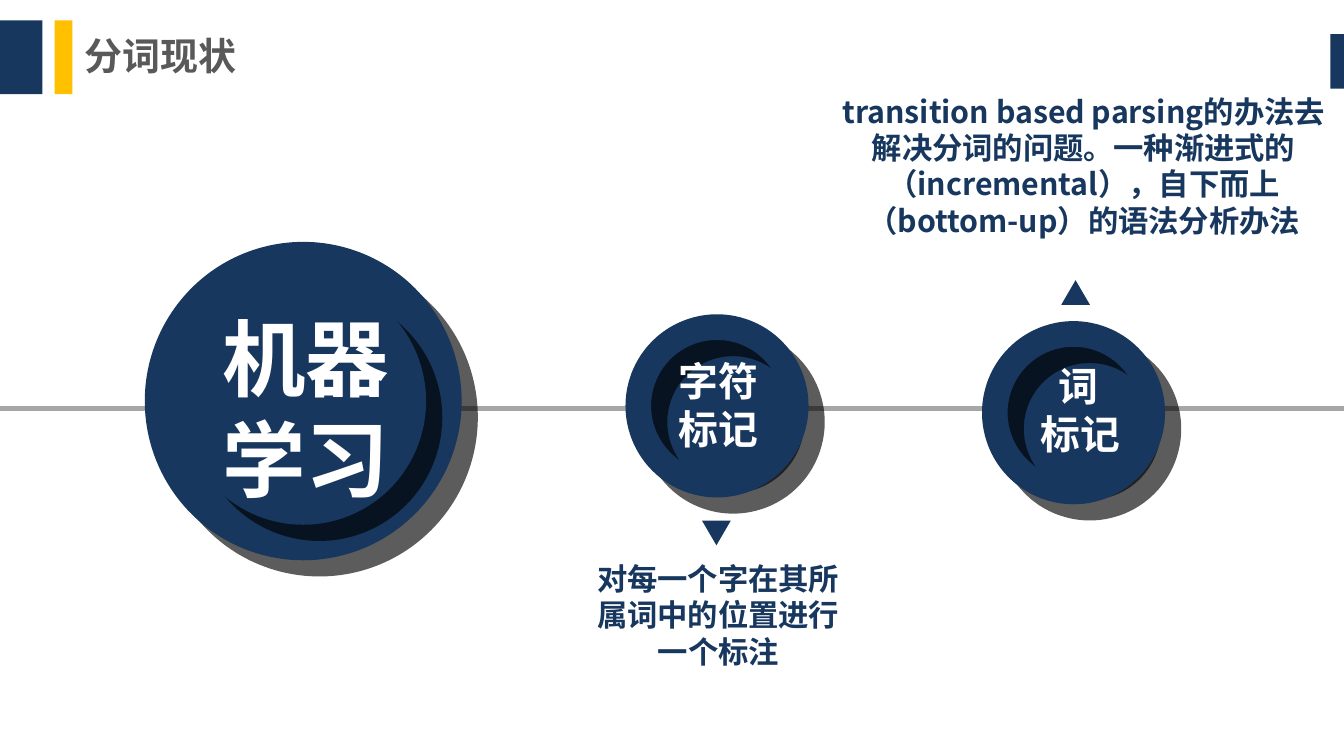
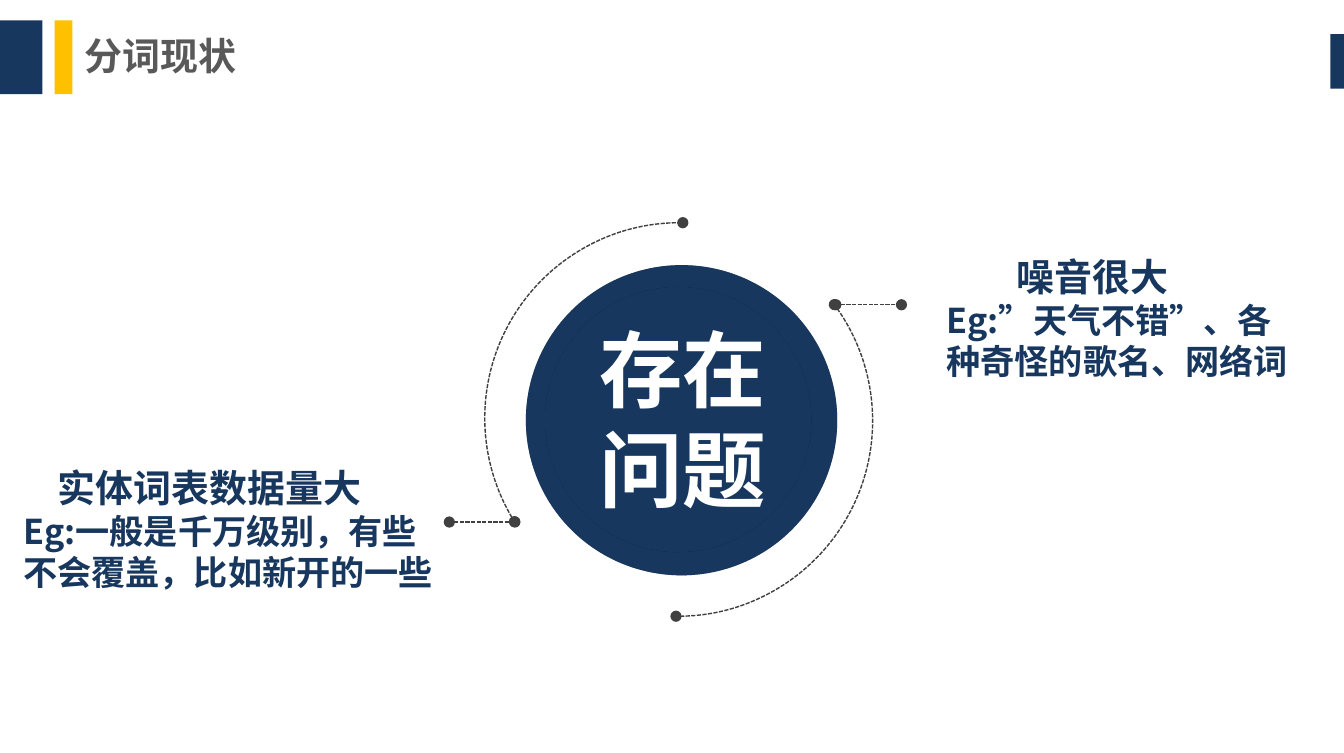
import pptx
import pptx.util
import pptx.dml.color
import pptx.enum.dml
import pptx.enum.shapes
import pptx.enum.text
import pptx.oxml
import pptx.oxml.ns
from lxml import etree

Inches, Pt = pptx.util.Inches, pptx.util.Pt
RGBColor = pptx.dml.color.RGBColor
SHAPE = pptx.enum.shapes.MSO_SHAPE
ALIGN = pptx.enum.text.PP_ALIGN
ANCHOR = pptx.enum.text.MSO_ANCHOR
qn = pptx.oxml.ns.qn

NAVY = RGBColor(0x17, 0x37, 0x5E)
GOLD = RGBColor(0xFF, 0xC0, 0x00)
GREY = RGBColor(0x59, 0x59, 0x59)
DARK = RGBColor(0x40, 0x40, 0x40)
RULE = RGBColor(0xA6, 0xA6, 0xA6)
WHITE = RGBColor(0xFF, 0xFF, 0xFF)
LATIN = "Calibri"
HAN = "Noto Sans CJK SC"
WIDE, HIGH = 9.84, 5.51
DROP = (64, 12.1, 45)
FLAT = (40, 0, 0)
RADIUS = 1.43


def lens(*nums):
    return [Inches(n) for n in nums]


def shade(shape, alpha, dist, angle):
    """Give the shape a hard outer shadow."""
    glow = shape._element.spPr.find(qn("a:effectLst"))
    drop = etree.SubElement(glow, qn("a:outerShdw"), blurRad="0",
                            dist=str(int(Pt(dist))), dir=str(angle * 60000),
                            algn="tl", rotWithShape="0")
    tint = etree.SubElement(drop, qn("a:srgbClr"), val="000000")
    etree.SubElement(tint, qn("a:alpha"), val=str(alpha * 1000))


def block(slide, kind, box, fill=NAVY, drop=None):
    shape = slide.shapes.add_shape(kind, *lens(*box))
    shape.shadow.inherit = False
    shape.fill.solid()
    shape.fill.fore_color.rgb = fill
    shape.line.fill.background()
    if drop:
        shade(shape, *drop)
    return shape


def write(slide, box, lines, size, color, font=HAN, align=ALIGN.LEFT,
          anchor=ANCHOR.TOP, pad=(0.1, 0.05)):
    area = slide.shapes.add_textbox(*lens(*box))
    frame = area.text_frame
    frame.word_wrap = True
    frame.vertical_anchor = anchor
    frame.margin_left = frame.margin_right = Inches(pad[0])
    frame.margin_top = frame.margin_bottom = Inches(pad[1])
    frame.text = "\n".join(lines)
    for para in frame.paragraphs:
        para.alignment = align
        for run in para.runs:
            style(run, size, color, font)
    return frame.paragraphs


def style(run, size, color, font):
    run.font.size = Pt(size)
    run.font.bold = True
    run.font.color.rgb = color
    run.font.name = font
    etree.SubElement(run.font._element, qn("a:ea"), typeface=font)


def indent(para, left):
    para._p.get_or_add_pPr().set("marL", str(int(Inches(left))))


def rule(slide, start, end, color, width):
    line = slide.shapes.add_connector(
        pptx.enum.shapes.MSO_CONNECTOR.STRAIGHT, *lens(*start, *end))
    etree.SubElement(line._element.spPr, qn("a:effectLst"))
    line.line.color.rgb = color
    line.line.width = Pt(width)
    return line


def dash(shape):
    """Dash the outline and put a dot on both ends."""
    shape.line.color.rgb = DARK
    shape.line.width = Pt(0.75)
    shape.line.dash_style = pptx.enum.dml.MSO_LINE.SQUARE_DOT
    edge = shape.line._get_or_add_ln()
    for end in ("a:headEnd", "a:tailEnd"):
        etree.SubElement(edge, qn(end), type="oval")


def arc(slide, mid, start, end):
    """Draw a dotted arc about mid, clockwise between two angles in degrees."""
    x, y = mid
    shape = slide.shapes.add_shape(
        SHAPE.ARC, *lens(x - RADIUS, y - RADIUS, 2 * RADIUS, 2 * RADIUS))
    shape.shadow.inherit = False
    shape.fill.background()
    # Adjustments count in units of 100000; angles in 60000ths of a degree.
    shape.adjustments[0] = start * 0.6
    shape.adjustments[1] = end * 0.6
    dash(shape)


def ring(slide, left, top, lines, text_at):
    """Draw a small disc under a raised rim, with its label."""
    block(slide, SHAPE.OVAL, (left + 0.14, top + 0.15, 1.05, 1.04), drop=DROP)
    rim = block(slide, SHAPE.DONUT, (left, top, 1.34, 1.34), drop=DROP)
    rim.adjustments[0] = 0.14
    return write(slide, (*text_at, 0.9, 0.8), lines, 21, WHITE, LATIN)


def note(slide, box, head, body, left):
    """Write an indented heading over its example."""
    top, low = write(slide, box, [head, body], 18, NAVY,
                     anchor=ANCHOR.MIDDLE, pad=(0.07, 0.04))
    indent(top, left)
    top.line_spacing = 1.3
    top.runs[0].font.size = Pt(20)


def start(deck, title):
    """Add a slide with the shared bands and title."""
    slide = deck.slides.add_slide(deck.slide_layouts[6])
    block(slide, SHAPE.RECTANGLE, (0, 0.15, 0.31, 0.54))
    block(slide, SHAPE.RECTANGLE, (0.4, 0.15, 0.13, 0.54), GOLD)
    block(slide, SHAPE.RECTANGLE, (9.74, 0.25, 0.1, 0.4))
    write(slide, (0.62, 0.24, 1.77, 0.33), [title], 20, GREY, LATIN,
          anchor=ANCHOR.MIDDLE, pad=(0, 0))
    return slide


def learn(deck):
    slide = start(deck, "分词现状")
    for y, color in ((3, WHITE), (2.99, RULE)):
        rule(slide, (0, y), (WIDE, y), color, 2.25)
    block(slide, SHAPE.OVAL, (1.06, 1.77, 2.32, 2.33), drop=DROP)
    block(slide, SHAPE.OVAL, (1.32, 2.03, 1.8, 1.81), drop=DROP)
    write(slide, (1.53, 2.2, 1.84, 1.57), ["机器学习"], 44, WHITE)
    ring(slide, 4.58, 2.3, ["字符", "标记"], (4.87, 2.56))
    word = ring(slide, 7.19, 2.35, ["词", "标记"], (7.52, 2.6))
    indent(word[0], 0.13)
    down = block(slide, SHAPE.ISOSCELES_TRIANGLE, (5.14, 3.81, 0.21, 0.18))
    down.rotation = 180
    block(slide, SHAPE.ISOSCELES_TRIANGLE, (7.77, 2.05, 0.21, 0.18))
    write(slide, (4.21, 4.05, 2.1, 0.9),
          ["对每一个字在其所属词中的位置进行一个标注"],
          16, NAVY, align=ALIGN.CENTER)
    write(slide, (6.06, 0.63, 3.75, 1.17),
          ["transition based parsing的办法去解决分词的问题。一种渐进式的"
           "（incremental），自下而上（bottom-up）的语法分析办法"],
          16, NAVY, align=ALIGN.CENTER)


def issues(deck):
    slide = start(deck, "分词现状")
    block(slide, SHAPE.OVAL, (3.85, 1.94, 2.28, 2.27), drop=FLAT)
    block(slide, SHAPE.OVAL, (3.99, 2.1, 1.95, 1.94), drop=FLAT)
    arc(slide, (4.98, 3.06), 148, 270.8)
    arc(slide, (4.96, 3.08), 323.5, 90.4)
    for x, y in ((6.12, 2.23), (3.29, 3.82)):
        dash(rule(slide, (x, y), (x + 0.48, y), DARK, 0.75))
    note(slide, (0.1, 3.26, 3.2, 1.11), "实体词表数据量大",
         "Eg:一般是千万级别，有些不会覆盖，比如新开的一些", 0.25)
    note(slide, (6.86, 1.72, 2.7, 1.11), "噪音很大",
         "Eg:”天气不错”、各种奇怪的歌名、网络词", 0.51)
    write(slide, (4.29, 2.28, 2.24, 1.57), ["存在", "问题"], 44, WHITE)


def main():
    deck = pptx.Presentation()
    deck.slide_width, deck.slide_height = lens(WIDE, HIGH)
    learn(deck)
    issues(deck)
    deck.save("out.pptx")


if __name__ == "__main__":
    main()
